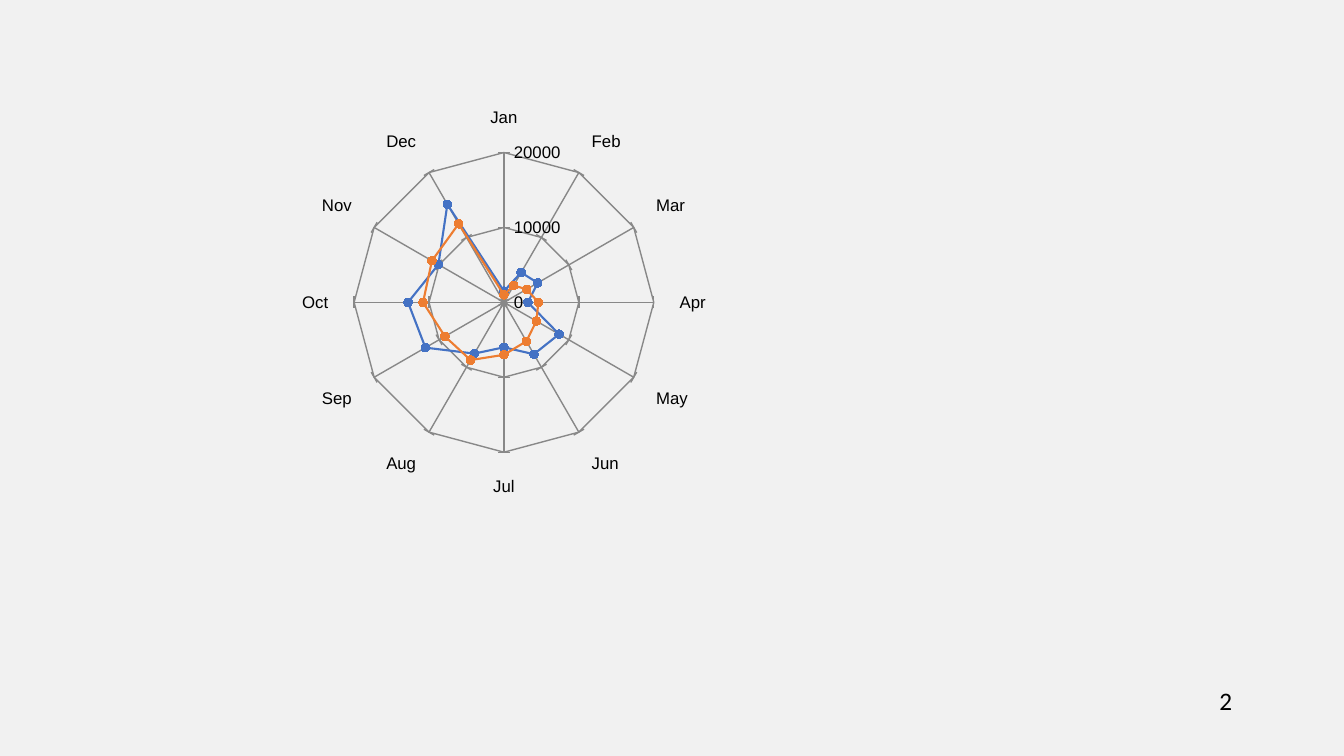
"""Build a slide with a monthly radar chart and a page number."""
from pptx import Presentation
from pptx import util as u
from pptx.chart.data import CategoryChartData
from pptx.dml.color import RGBColor
from pptx.enum import chart as charts

BACKGROUND = RGBColor(0xF1, 0xF1, 0xF1)
BLACK = RGBColor(0, 0, 0)
GRAY = RGBColor(0x88, 0x88, 0x88)
BLUE = RGBColor(0x44, 0x72, 0xC4)
ORANGE = RGBColor(0xED, 0x7D, 0x31)

MONTHS = "Jan Feb Mar Apr May Jun Jul Aug Sep Oct Nov Dec".split()
SERIES = [
    ("Series 1", BLUE, (1500, 4600, 5200, 3200, 8500, 8000,
                        6000, 7900, 12100, 12800, 10100, 15100)),
    ("Series 2", ORANGE, (1000, 2600, 3500, 4600, 5000, 6000,
                          7000, 8900, 9100, 10800, 11100, 12100)),
]


def style_font(font, name, size):
    """Set a black font of the given name and size."""
    font.name = name
    font.size = u.Pt(size)
    font.color.rgb = BLACK


def style_line(line, color, width):
    """Set a solid line."""
    line.color.rgb = color
    line.width = u.Pt(width)


def style_axis(axis):
    """Give an axis gray lines, outside ticks and Arial labels."""
    axis.has_major_gridlines = True
    style_line(axis.major_gridlines.format.line, GRAY, 1)
    style_line(axis.format.line, GRAY, 1)
    axis.major_tick_mark = charts.XL_TICK_MARK.OUTSIDE
    axis.minor_tick_mark = charts.XL_TICK_MARK.NONE
    axis.tick_labels.number_format = "General"
    axis.tick_labels.number_format_is_linked = False
    style_font(axis.tick_labels.font, "Arial", 12)


def add_monthly_radar(slide, box):
    """Add the radar chart of both series in the box."""
    data = CategoryChartData()
    data.categories = MONTHS
    for name, _, values in SERIES:
        data.add_series(name, values)
    chart = slide.shapes.add_chart(
        charts.XL_CHART_TYPE.RADAR_MARKERS, *map(u.Pt, box), data).chart
    chart.has_legend = False
    chart.has_title = False
    style_font(chart.font, "Calibri", 10)
    style_axis(chart.category_axis)
    style_axis(chart.value_axis)
    chart.value_axis.minimum_scale = 0
    chart.value_axis.maximum_scale = 20000
    chart.value_axis.major_unit = 10000
    plot = chart.plots[0]
    plot.vary_by_categories = False
    for series, (_, color, _) in zip(plot.series, SERIES):
        style_line(series.format.line, color, 1.5)
        series.marker.style = charts.XL_MARKER_STYLE.CIRCLE
        series.marker.size = 6
        series.marker.format.fill.solid()
        series.marker.format.fill.fore_color.rgb = color
        series.marker.format.line.color.rgb = color


def add_page_number(slide, box, number):
    """Add the page number in the box."""
    frame = slide.shapes.add_textbox(*map(u.Pt, box)).text_frame
    frame.word_wrap = True
    paragraph = frame.paragraphs[0]
    paragraph.text = str(number)
    style_font(paragraph.font, "Calibri", 18)


def build_radar_slide(presentation):
    """Add the slide with its background, chart and page number."""
    slide = presentation.slides.add_slide(presentation.slide_layouts[6])
    slide.background.fill.solid()
    slide.background.fill.fore_color.rgb = BACKGROUND
    add_monthly_radar(slide, (72, 72, 576, 288))
    add_page_number(slide, (864, 486, 62.6, 24), 2)


presentation = Presentation()
presentation.slide_width = u.Pt(960)
presentation.slide_height = u.Pt(540)
build_radar_slide(presentation)
presentation.save("out.pptx")
